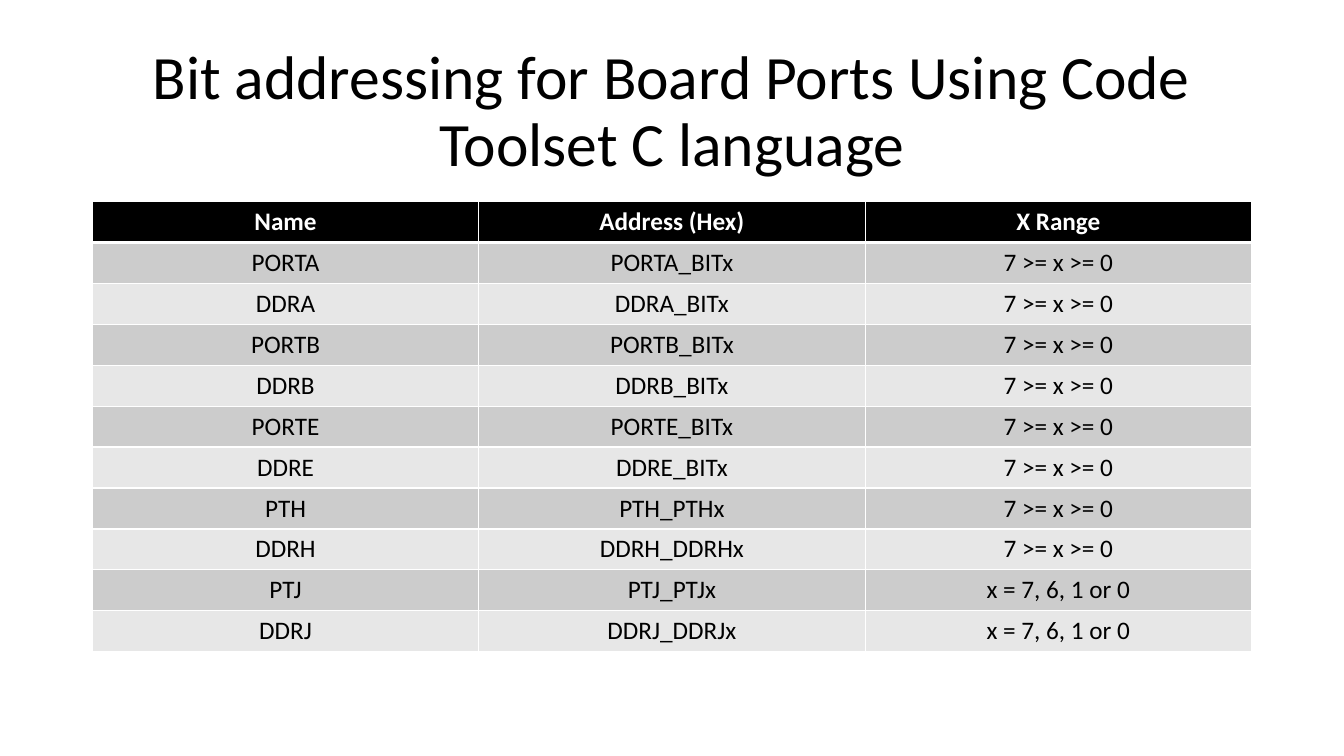
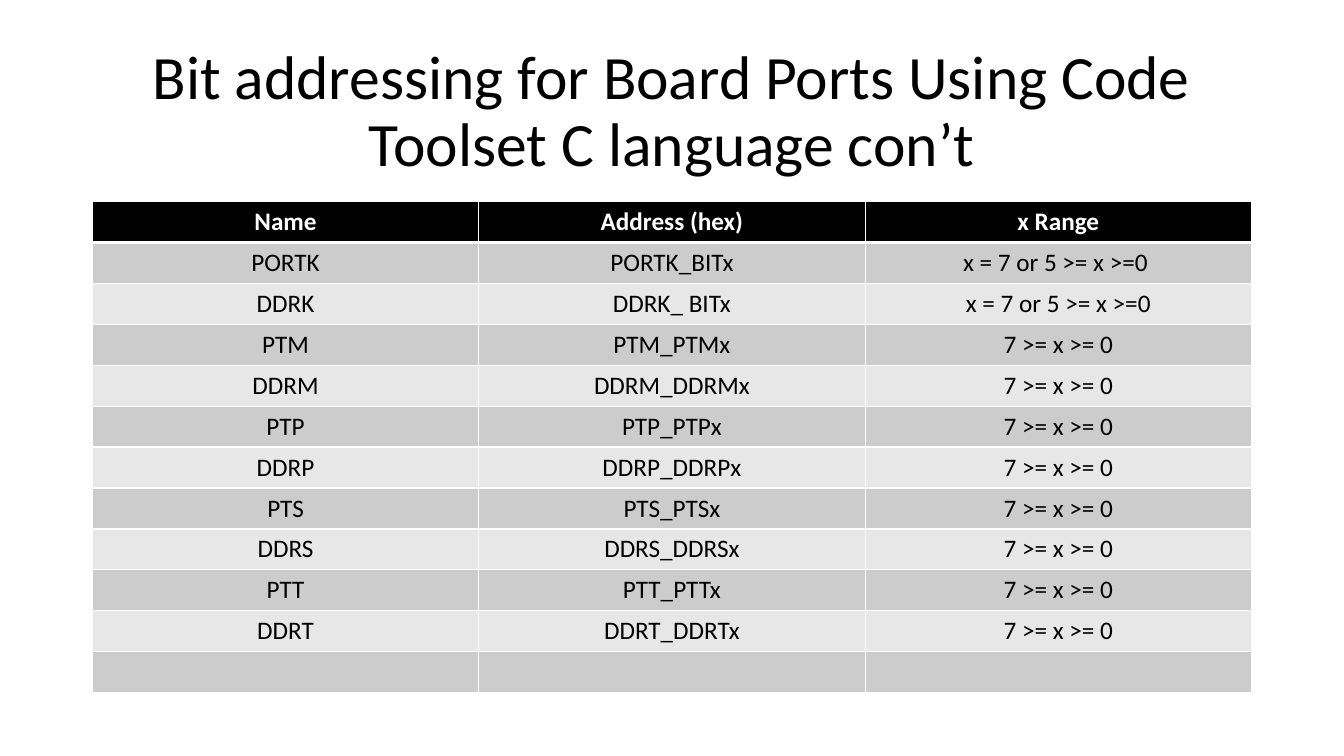
from dataclasses import dataclass

from lxml.etree import SubElement as Sub
from pptx import Presentation
from pptx.dml.color import RGBColor as RGB
from pptx.enum.text import MSO_ANCHOR as Anchor, PP_ALIGN as Align
from pptx.oxml.ns import qn
from pptx.util import Emu, Pt

PX = 9525  # EMU in one px


@dataclass(frozen=True)
class Theme:
    font: str = "Calibri"
    ink: str = "000000"
    paper: str = "FFFFFF"
    bands: tuple = ("CCCCCC", "E7E7E7")
    title: int = 44
    body: int = 18
    rule: int = 1
    heavy: int = 3


T = Theme()
SLIDE = (1280, 720)
HEAD = (88, 38, 1104, 139)
GRID = (88, 192, 1104)
ROW = 39

FULL = "7 >= x >= 0"
PORT_J = "x = 7, 6, 1 or 0"
PORT_K = "x = 7 or 5 >= x >=0"

PAGES = [
    ("Bit addressing for Board Ports Using Code Toolset C language", [
        ("Name", "Address (Hex)", "X Range"),
        ("PORTA", "PORTA_BITx", FULL),
        ("DDRA", "DDRA_BITx", FULL),
        ("PORTB", "PORTB_BITx", FULL),
        ("DDRB", "DDRB_BITx", FULL),
        ("PORTE", "PORTE_BITx", FULL),
        ("DDRE", "DDRE_BITx", FULL),
        ("PTH", "PTH_PTHx", FULL),
        ("DDRH", "DDRH_DDRHx", FULL),
        ("PTJ", "PTJ_PTJx", PORT_J),
        ("DDRJ", "DDRJ_DDRJx", PORT_J),
    ]),
    ("Bit addressing for Board Ports Using Code Toolset C language con’t", [
        ("Name", "Address (hex)", "x Range"),
        ("PORTK", "PORTK_BITx", PORT_K + " "),
        ("DDRK", "DDRK_ BITx", PORT_K),
        ("PTM", "PTM_PTMx", FULL),
        ("DDRM", "DDRM_DDRMx", FULL),
        ("PTP", "PTP_PTPx", FULL),
        ("DDRP", "DDRP_DDRPx", FULL),
        ("PTS", "PTS_PTSx", FULL),
        ("DDRS", "DDRS_DDRSx", FULL),
        ("PTT", "PTT_PTTx", FULL),
        ("DDRT", "DDRT_DDRTx", FULL),
        ("", "", ""),
    ]),
]


def px(*nums):
    return [Emu(n * PX) for n in nums]


def write(frame, text, size, color, bold=False):
    """Put one centred paragraph in a text frame and return it."""
    para = frame.paragraphs[0]
    para.text = text
    para.alignment = Align.CENTER
    font = para.font
    font.name, font.size, font.bold = T.font, Pt(size), bold
    font.color.rgb = RGB.from_string(color)
    return para


def add_title(slide, text, box):
    frame = slide.shapes.add_textbox(*px(*box)).text_frame
    frame.word_wrap = True
    frame.vertical_anchor = Anchor.MIDDLE
    write(frame, text, T.title, T.ink).line_spacing = 0.9


def set_edges(cell, top, bottom):
    """Draw the cell borders; call it before the fill is set."""
    props = cell._tc.get_or_add_tcPr()
    for side, width in zip("LRTB", (T.rule, T.rule, top, bottom)):
        line = Sub(props, qn(f"a:ln{side}"), w=str(Pt(width)))
        Sub(Sub(line, qn("a:solidFill")), qn("a:srgbClr"), val=T.paper)


def add_grid(slide, rows, box):
    left, top, width = box
    count = len(rows[0])
    table = slide.shapes.add_table(
        len(rows), count, *px(left, top, width, ROW * len(rows))).table
    table.horz_banding = False
    for col in table.columns:
        col.width = Emu(width * PX // count)
    for r, texts in enumerate(rows):
        table.rows[r].height = Emu(ROW * PX)
        head = r == 0
        fill = T.ink if head else T.bands[(r - 1) % 2]
        for cell, text in zip(table.rows[r].cells, texts):
            set_edges(cell, T.heavy if r == 1 else T.rule,
                      T.heavy if head else T.rule)
            cell.fill.solid()
            cell.fill.fore_color.rgb = RGB.from_string(fill)
            write(cell.text_frame, text, T.body,
                  T.paper if head else T.ink, head)


def main():
    deck = Presentation()
    deck.slide_width, deck.slide_height = px(*SLIDE)
    blank = deck.slide_layouts[6]
    for title, rows in PAGES:
        slide = deck.slides.add_slide(blank)
        add_title(slide, title, HEAD)
        add_grid(slide, rows, GRID)
    deck.save("out.pptx")


if __name__ == "__main__":
    main()
